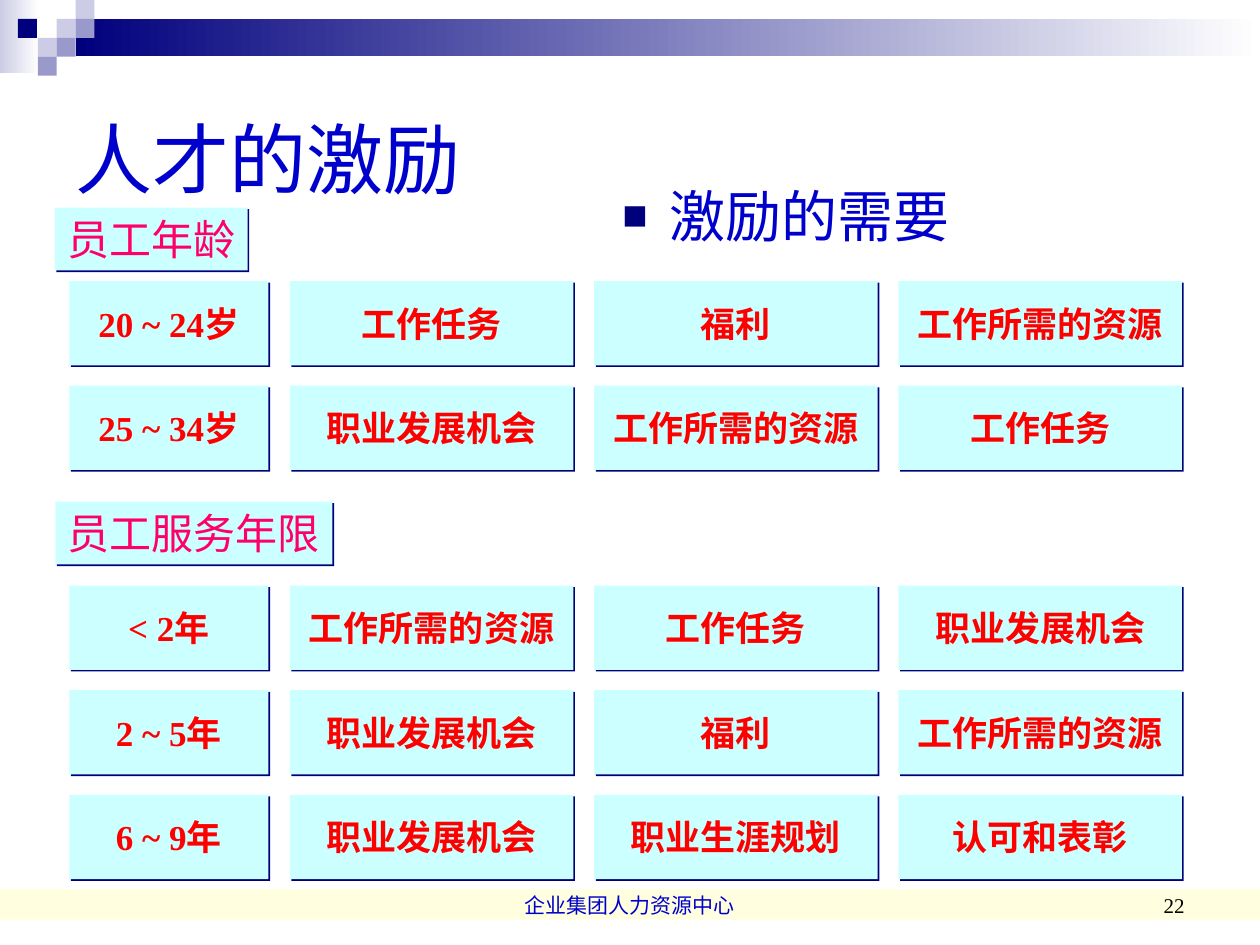
import pptx
import pptx.util
import pptx.dml.color
import pptx.enum.shapes
import pptx.enum.text
import pptx.oxml
import pptx.oxml.ns

Pt = pptx.util.Pt
ALIGN = pptx.enum.text.PP_ALIGN
ANCHOR = pptx.enum.text.MSO_ANCHOR
FIT = pptx.enum.text.MSO_AUTO_SIZE
NS = pptx.oxml.ns.nsdecls("a")

COLORS = {
    "white": "FFFFFF", "black": "000000", "navy": "00007D",
    "lilac": "CCCCE6", "violet": "9999CC", "yellow": "FFFF99",
    "cyan": "CCFFFF", "blue": "0000CC", "red": "FF0000", "pink": "FF0066",
}


def rgb(name):
    return pptx.dml.color.RGBColor.from_string(COLORS[name])


class Deck:
    heading_font = "Arial"
    text_font = "Times New Roman"

    def __init__(self, slide):
        self.s = slide

    def place(self, sp, x, y, w, h):
        sp.left, sp.top, sp.width, sp.height = Pt(x), Pt(y), Pt(w), Pt(h)

    def add_text(self, tf, text, size, color, font, bold=False,
                 align=ALIGN.LEFT, anchor=ANCHOR.TOP, wrap=True):
        tf.word_wrap = wrap
        tf.auto_size = FIT.NONE
        tf.vertical_anchor = anchor
        p = tf.paragraphs[0]
        p.alignment = align
        p.space_before = Pt(0)
        r = p.add_run()
        r.text = text
        r.font.size = Pt(size)
        r.font.name = font
        r.font.bold = bold
        r.font.color.rgb = rgb(color)

    def title(self, text, *box):
        sp = self.s.shapes.title
        self.place(sp, *box)
        self.add_text(sp.text_frame, text, 44, "blue", self.heading_font,
                      anchor=ANCHOR.MIDDLE)

    def bullet(self, text, *box):
        sp = self.s.placeholders[1]
        self.place(sp, *box)
        pPr = sp.text_frame.paragraphs[0]._p.get_or_add_pPr()
        pPr.set("marL", str(Pt(27)))
        pPr.set("indent", str(Pt(-27)))
        for xml in (
            f'<a:buClr {NS}><a:srgbClr val="{COLORS["navy"]}"/></a:buClr>',
            f'<a:buSzPct {NS} val="75000"/>',
            f'<a:buFont {NS} typeface="{self.heading_font}"/>',
            f'<a:buChar {NS} char="■"/>',
        ):
            pPr.append(pptx.oxml.parse_xml(xml))
        self.add_text(sp.text_frame, text, 32, "blue", self.heading_font)

    def rect(self, color, *box, opacity=None):
        shape = pptx.enum.shapes.MSO_SHAPE.RECTANGLE
        sp = self.s.shapes.add_shape(shape, *map(Pt, box))
        sp.shadow.inherit = False
        sp.line.fill.background()
        sp.fill.solid()
        sp.fill.fore_color.rgb = rgb(color)
        if opacity:
            clr = sp._element.spPr.find(".//" + pptx.oxml.ns.qn("a:srgbClr"))
            clr.append(pptx.oxml.parse_xml(
                f'<a:alpha {NS} val="{opacity * 1000}"/>'))
        return sp

    def fade(self, color, *box):
        sp = self.rect(color, *box)
        sp.fill.gradient()
        sp.fill.gradient_angle = 0
        for stop, name in zip(sp.fill.gradient_stops, (color, "white")):
            stop.color.rgb = rgb(name)

    def card(self, *box):
        sp = self.rect("cyan", *box)
        effects = sp._element.spPr.find(pptx.oxml.ns.qn("a:effectLst"))
        effects.append(pptx.oxml.parse_xml(
            f'<a:outerShdw {NS} dist="{Pt(1.4)}" dir="2700000" algn="ctr" '
            f'rotWithShape="0"><a:srgbClr val="{COLORS["navy"]}"/>'
            '</a:outerShdw>'))
        return sp.text_frame

    def cell(self, text, *box):
        self.add_text(self.card(*box), text, 20, "red", self.text_font,
                      bold=True, align=ALIGN.CENTER, anchor=ANCHOR.MIDDLE,
                      wrap=False)

    def label(self, text, *box):
        self.add_text(self.card(*box), text, 24, "pink", self.text_font,
                      wrap=False)

    def grid(self, rows, top):
        for i, row in enumerate(rows):
            for j, text in enumerate(row):
                x, w = (165.6 + (j - 1) * 173.9, 162) if j else (39.6, 113.8)
                self.cell(text, x, top + i * 59.8, w, 48.2)

    def footer(self, text, color, align, *box):
        sp = self.s.shapes.add_textbox(*map(Pt, box))
        self.add_text(sp.text_frame, text, 12, color, self.text_font,
                      align=align, anchor=ANCHOR.BOTTOM)


AGE_ROWS = [
    ("20 ~ 24岁", "工作任务", "福利", "工作所需的资源"),
    ("25 ~ 34岁", "职业发展机会", "工作所需的资源", "工作任务"),
]
SERVICE_ROWS = [
    ("< 2年", "工作所需的资源", "工作任务", "职业发展机会"),
    ("2 ~ 5年", "职业发展机会", "福利", "工作所需的资源"),
    ("6 ~ 9年", "职业发展机会", "职业生涯规划", "认可和表彰"),
]
TILE = 10.8
TILES = [
    ("lilac", 3, 1), ("lilac", 4, 0), ("violet", 4, 1), ("lilac", 2, 2),
    ("navy", 0.95, 1), ("violet", 3, 2), ("violet", 2, 3),
]


def main():
    prs = pptx.Presentation()
    prs.slide_width, prs.slide_height = Pt(720), Pt(540)
    deck = Deck(prs.slides.add_slide(prs.slide_layouts[1]))

    deck.rect("yellow", 0, 508.3, 720, 17.3, opacity=30)
    deck.fade("lilac", 0, 0, 22.3, 41.8)
    deck.fade("navy", 43.2, 10.8, 676.8, 21.2)
    for color, col, row in TILES:
        deck.rect(color, col * TILE, row * TILE, TILE, TILE)

    deck.title("人才的激励", 36, 36, 648, 108)
    deck.bullet("激励的需要", 348.5, 100, 327.6, 46)

    deck.grid(AGE_ROWS, 160.6)
    deck.grid(SERVICE_ROWS, 334.6)
    deck.label("员工服务年限", 31.6, 286.6, 158.4, 36)
    deck.label("员工年龄", 31.3, 118.6, 110.2, 36)

    deck.footer("企业集团人力资源中心", "blue", ALIGN.CENTER,
                246, 491.8, 228, 36)
    deck.footer("22", "black", ALIGN.RIGHT, 516, 491.8, 168, 36)
    prs.save("out.pptx")


if __name__ == "__main__":
    main()
